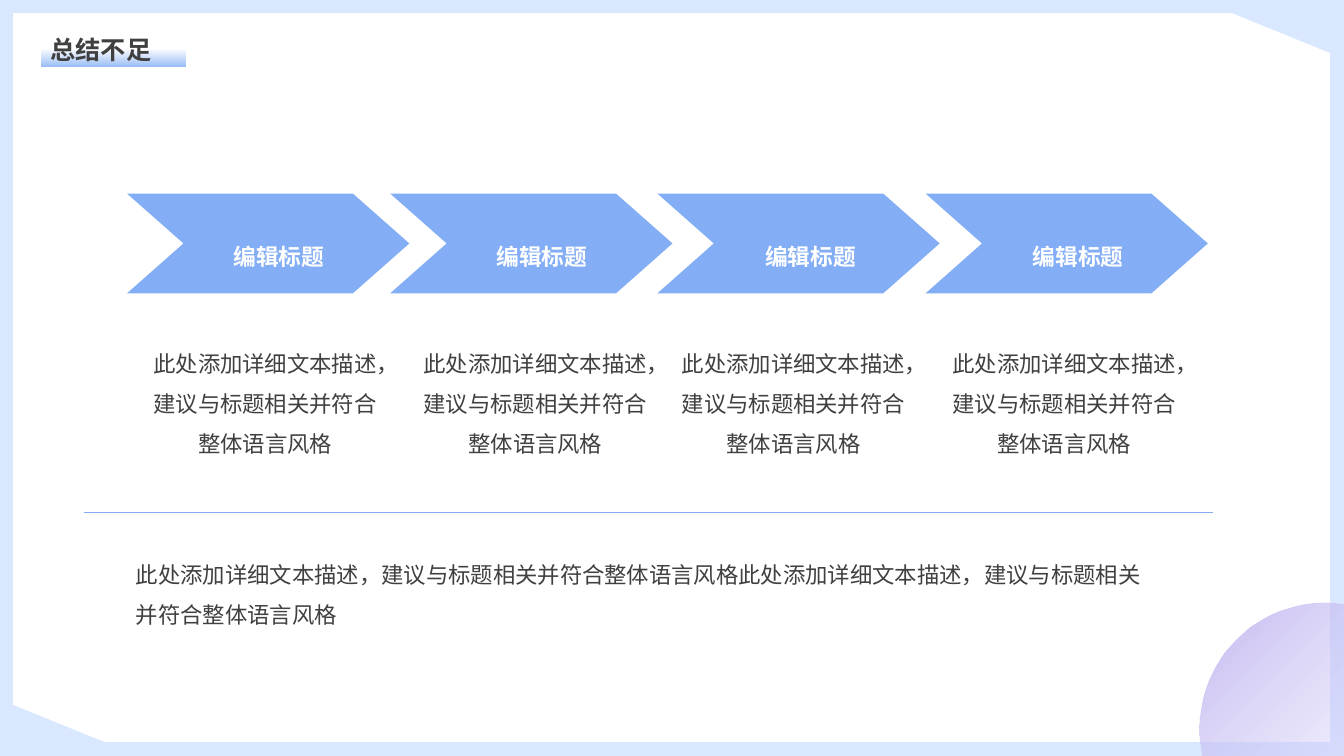
from lxml import etree
from pptx import Presentation
from pptx.dml.color import RGBColor
from pptx.enum import shapes, text
from pptx.oxml import parse_xml
from pptx.oxml.ns import nsdecls, qn
from pptx.util import Inches, Pt

# Content
TITLE = "总结不足"
DETAIL = "此处添加详细文本描述，建议与标题相关并符合整体语言风格"
SUMMARY = DETAIL * 2
# Each step: label, arrow left, label left and width, detail left and width
STEPS = [
    ("编辑标题", 1.26, 1.55, 2.43, 1.4, 2.46),
    ("编辑标题", 3.87, 4.19, 2.37, 4, 2.62),
    ("编辑标题", 6.52, 6.87, 2.34, 6.65, 2.44),
    ("编辑标题", 9.18, 9.51, 2.37, 9.28, 2.55),
]

FONT = "Noto Sans CJK SC"
PALE = RGBColor(0xD9, 0xE8, 0xFF)
BLUE = RGBColor(0x83, 0xAE, 0xF5)
LILAC = RGBColor(0xC1, 0xB5, 0xEF)
LIGHT_LILAC = RGBColor(0xDC, 0xD7, 0xFF)
WHITE = RGBColor(0xFF, 0xFF, 0xFF)
INK = RGBColor(0x40, 0x40, 0x40)

ARROW_TOP, ARROW_W, ARROW_H, ARROW_POINT = 1.92, 2.8, 0.99, 0.56

prs = Presentation()
prs.slide_width, prs.slide_height = Inches(13.33), Inches(7.5)
s = prs.slides.add_slide(prs.slide_layouts[5])


def paint(sp, color):
    sp.shadow.inherit = False
    sp.line.fill.background()
    if color is not None:
        sp.fill.solid()
        sp.fill.fore_color.rgb = color
    return sp


def add_preset(kind, x, y, w, h, color=None):
    sp = s.shapes.add_shape(kind, Inches(x), Inches(y), Inches(w), Inches(h))
    return paint(sp, color)


def set_gradient(sp, stops, direction):
    """Stops are (percent, colour, opacity percent)."""
    gs = "".join(
        f'<a:gs pos="{pos * 1000}"><a:srgbClr val="{color}">'
        f'<a:alpha val="{alpha * 1000}"/></a:srgbClr></a:gs>'
        for pos, color, alpha in stops)
    grad = parse_xml(f'<a:gradFill {nsdecls("a")} rotWithShape="1">'
                     f'<a:gsLst>{gs}</a:gsLst>{direction}</a:gradFill>')
    sp._element.spPr.find(qn("a:prstGeom")).addnext(grad)


def write(sp, words, size, color, align, spacing=None, bold=False,
          anchor=text.MSO_ANCHOR.TOP, baseline=None):
    tf = sp.text_frame
    tf.word_wrap = True
    tf.auto_size = text.MSO_AUTO_SIZE.SHAPE_TO_FIT_TEXT
    tf.vertical_anchor = anchor
    p = tf.paragraphs[0]
    p.alignment = align
    if spacing:
        p.line_spacing = spacing
    r = p.add_run()
    r.text = words
    r.font.size, r.font.bold, r.font.name = Pt(size), bold, FONT
    r.font.color.rgb = color
    rPr = r._r.get_or_add_rPr()
    etree.SubElement(rPr, qn("a:ea")).set("typeface", FONT)
    if baseline:
        rPr.set("baseline", str(baseline * 1000))


def add_text(x, y, w, h, *args, **kwargs):
    sp = s.shapes.add_textbox(Inches(x), Inches(y), Inches(w), Inches(h))
    write(sp, *args, **kwargs)


# Frame
add_preset(shapes.MSO_SHAPE.RECTANGLE, 0, 0, 13.33, 7.5, PALE)
add_preset(shapes.MSO_SHAPE.RECTANGLE, 0.13, 0.13, 13.06, 7.23, WHITE)

# Title on its fading underline
underline = add_preset(shapes.MSO_SHAPE.RECTANGLE, 0.41, 0.49, 1.43, 0.17)
set_gradient(underline, [(0, BLUE, 84), (100, BLUE, 0)],
             '<a:lin ang="16200000" scaled="0"/>')
title = s.shapes.title
s.shapes._spTree.append(title._element)
title.left, title.top = Inches(0.4), Inches(0.29)
title.width, title.height = Inches(1.45), Inches(0.4)
write(title, TITLE, 18, INK, text.PP_ALIGN.JUSTIFY, bold=True)

# Corner decorations
circle = add_preset(shapes.MSO_SHAPE.OVAL, 11.9, 5.98, 2.51, 2.51)
circle.rotation = 270
set_gradient(circle, [(0, LIGHT_LILAC, 0), (100, LILAC, 91)],
             '<a:path path="circle"><a:fillToRect l="100000" t="100000"/></a:path>')
for x, y, turn in [(0, 6.94, 0), (11.9, 0, 180)]:
    corner = add_preset(shapes.MSO_SHAPE.RIGHT_TRIANGLE, x, y, 1.45, 0.59, PALE)
    corner.rotation = turn

# Step arrows, labels and details
for label, arrow_x, label_x, label_w, detail_x, detail_w in STEPS:
    outline = [(0, 0), (ARROW_W - ARROW_POINT, 0), (ARROW_W, ARROW_H / 2),
               (ARROW_W - ARROW_POINT, ARROW_H), (0, ARROW_H),
               (ARROW_POINT, ARROW_H / 2)]
    points = [(Inches(arrow_x + dx), Inches(ARROW_TOP + dy)) for dx, dy in outline]
    arrow = s.shapes.build_freeform(*points[0])
    arrow.add_line_segments(points[1:], close=True)
    paint(arrow.convert_to_shape(), BLUE)
    add_text(label_x, 2.19, label_w, 0.45, label, 28, WHITE, text.PP_ALIGN.CENTER,
             1.2, bold=True, anchor=text.MSO_ANCHOR.MIDDLE, baseline=-3)
    add_text(detail_x, 3.29, detail_w, 1.31, DETAIL, 16, INK,
             text.PP_ALIGN.CENTER, 1.5)

# Divider and summary
divider = s.shapes.add_connector(shapes.MSO_CONNECTOR.STRAIGHT, Inches(0.83),
                                 Inches(5.08), Inches(12.03), Inches(5.08))
divider.line.color.rgb = BLUE
divider.line.width = Pt(0.5)
etree.SubElement(divider._element.spPr, qn("a:effectLst"))
add_text(1.25, 5.38, 10.26, 0.86, SUMMARY, 16, INK, text.PP_ALIGN.LEFT, 1.5)

prs.save("out.pptx")
